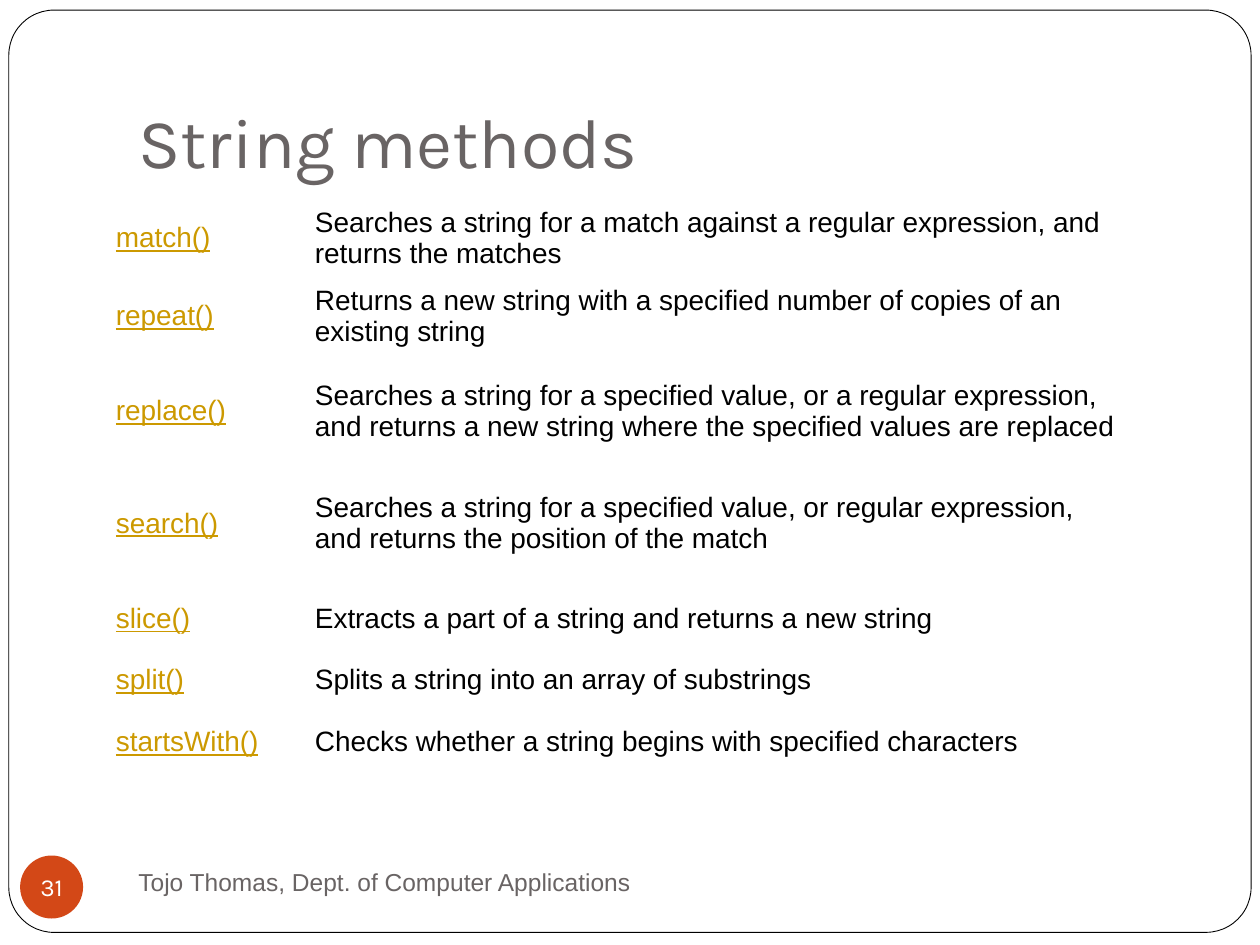
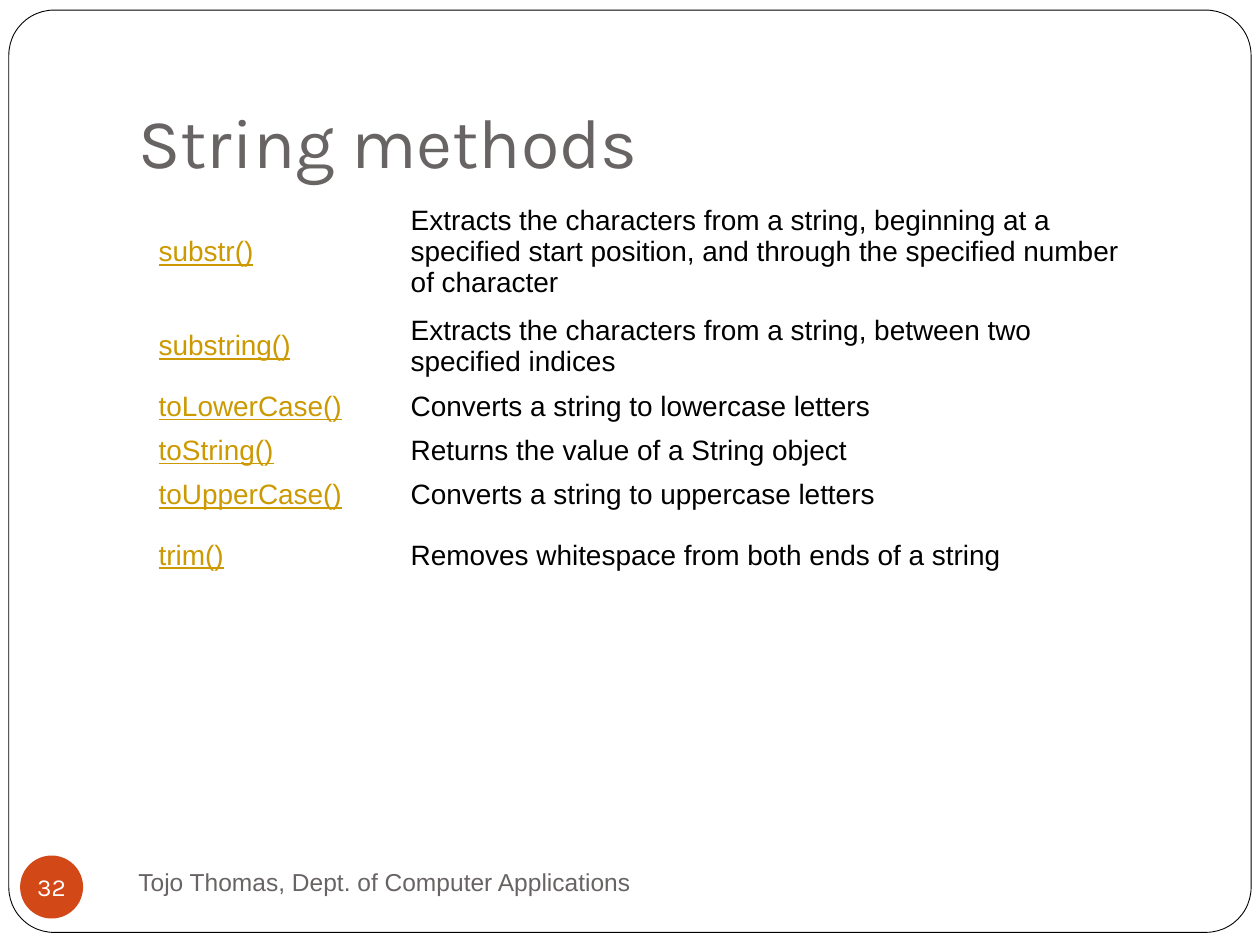
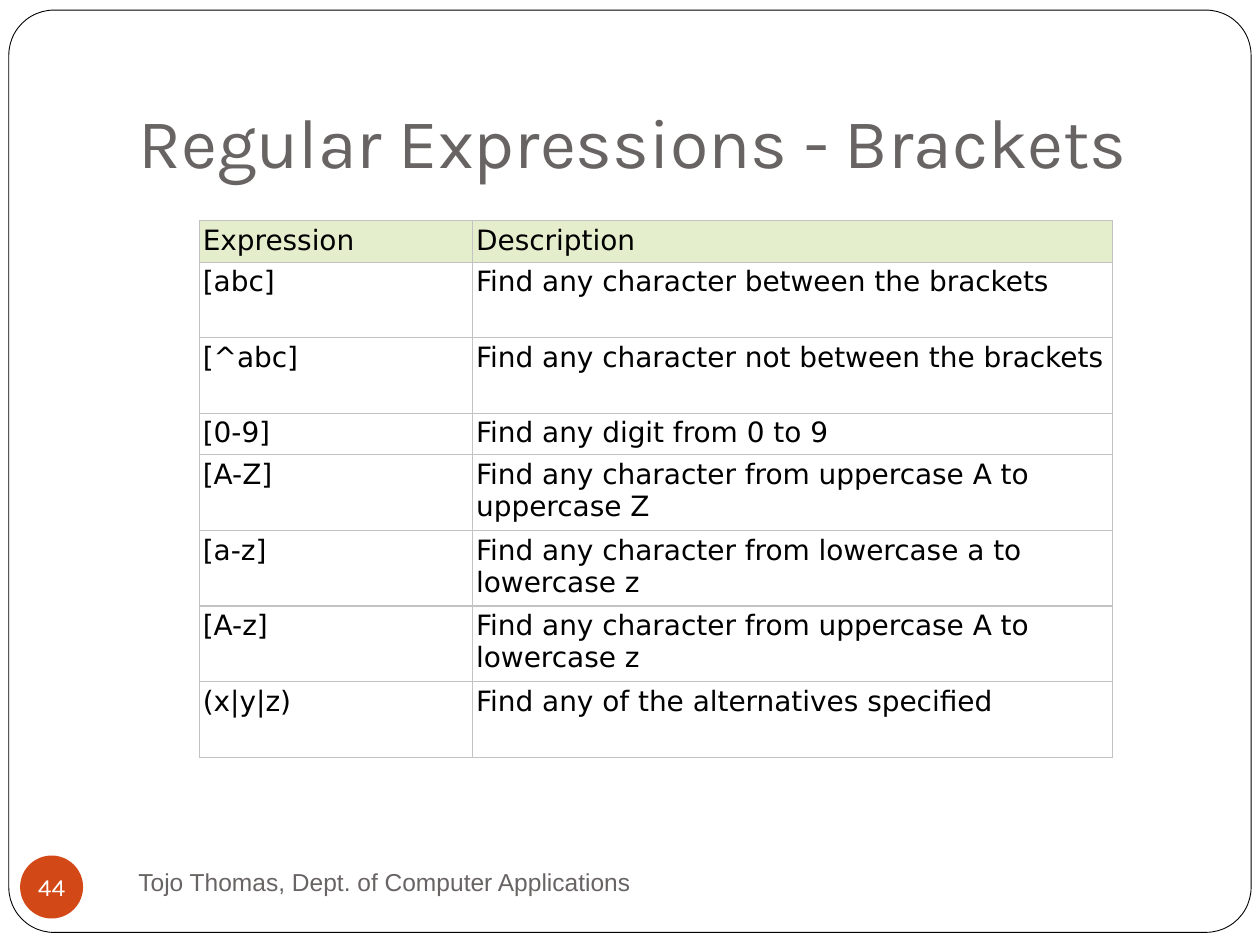
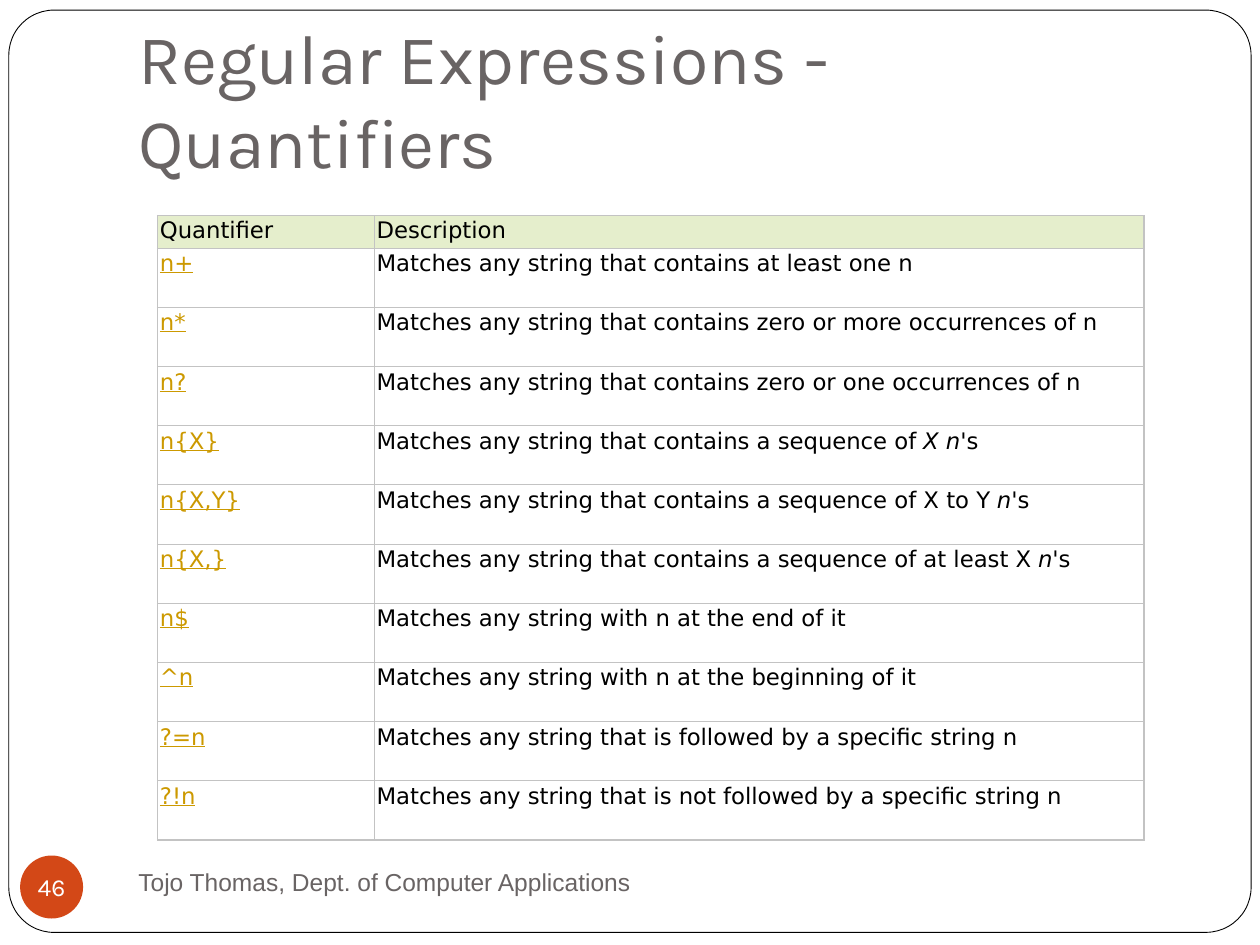
from collections import namedtuple

from lxml import etree
from pptx import Presentation
from pptx import util as u
from pptx.dml.color import RGBColor
from pptx.enum import shapes, text
from pptx.oxml import ns

Inches, Pt = u.Inches, u.Pt
Box = namedtuple("Box", "left top width height")
# A table look: size and font of text, cell margins (side, top), anchor,
# whether cells are ruled and filled, and whether the first column is link-like.
Look = namedtuple("Look", "size font margins anchor ruled linked")

WHITE, BLACK, GREY = "FFFFFF", "000000", "696464"
ORANGE, GOLD = "D34817", "CC9900"
HEADER_GREEN, RULE_GREY = "E5EECC", "C3C3C3"
HEADING_FONT, BODY_FONT, TABLE_FONT = "Karla", "Arial", "DejaVu Sans"

FRAME_BOX = Box(0.07, 0.08, 9.86, 7.32)
TITLE_BOX = Box(1, 0.3, 8.5, 1.25)
FOOTER_BOX = Box(1, 6.75, 4.33, 0.5)
BADGE_BOX = Box(0.16, 6.79, 0.5, 0.5)
FOOTER = "Tojo Thomas, Dept. of Computer Applications"

MIDDLE, TOP = text.MSO_ANCHOR.MIDDLE, text.MSO_ANCHOR.TOP
METHODS = Look(16, BODY_FONT, (0.09, 0.04), MIDDLE, False, True)
BRACKETS = Look(16, TABLE_FONT, (0.03, 0.03), TOP, True, False)
QUANTIFIERS = Look(13, TABLE_FONT, (0.02, 0.02), TOP, True, True)


def color(value):
    """Turn a hex string into a colour."""
    return RGBColor.from_string(value)


def inches(box):
    """Turn a box into four lengths."""
    return [Inches(value) for value in box]


def add_run(paragraph, words, size, font, ink, underline=False, italic=False):
    """Append one formatted run."""
    run = paragraph.add_run()
    run.text = words
    run.font.size, run.font.name = Pt(size), font
    run.font.color.rgb = color(ink)
    run.font.underline, run.font.italic = underline, italic


def add_frame(slide, box):
    """Draw the rounded outline around the slide."""
    shape = slide.shapes.add_shape(
        shapes.MSO_SHAPE.ROUNDED_RECTANGLE, *inches(box))
    shape.adjustments[0] = 0.049
    shape.shadow.inherit = False
    shape.fill.solid()
    shape.fill.fore_color.rgb = color(WHITE)
    shape.line.color.rgb = color(BLACK)
    shape.line.width = Pt(0.5)


def add_text(slide, box, words, size, font, anchor, bottom=0.05):
    """Place a wrapped line of grey text."""
    frame = slide.shapes.add_textbox(*inches(box)).text_frame
    frame.word_wrap = True
    frame.vertical_anchor = anchor
    frame.margin_bottom = Inches(bottom)
    add_run(frame.paragraphs[0], words, size, font, GREY)


def add_badge(slide, box, number):
    """Draw the round slide number."""
    shape = slide.shapes.add_shape(shapes.MSO_SHAPE.OVAL, *inches(box))
    shape.shadow.inherit = False
    shape.fill.solid()
    shape.fill.fore_color.rgb = color(ORANGE)
    shape.line.fill.background()
    frame = shape.text_frame
    frame.word_wrap = False
    frame.vertical_anchor = MIDDLE
    frame.margin_left = frame.margin_right = 0
    frame.margin_top = frame.margin_bottom = 0
    paragraph = frame.paragraphs[0]
    paragraph.alignment = text.PP_ALIGN.CENTER
    add_run(paragraph, str(number), 14, HEADING_FONT, WHITE)


def rule_cell(cell):
    """Give a cell a thin grey line on each side."""
    properties = cell._tc.get_or_add_tcPr()
    for side in ("a:lnL", "a:lnR", "a:lnT", "a:lnB"):
        line = etree.SubElement(properties, ns.qn(side), w=str(Pt(0.75)))
        fill = etree.SubElement(line, ns.qn("a:solidFill"))
        etree.SubElement(fill, ns.qn("a:srgbClr"), val=RULE_GREY)


def fill_cell(cell, runs, look, is_header, is_link):
    """Format one cell and write its runs, given as (words, italic)."""
    side, top = (Inches(margin) for margin in look.margins)
    cell.margin_left = cell.margin_right = side
    cell.margin_top = cell.margin_bottom = top
    cell.vertical_anchor = look.anchor
    if look.ruled:
        rule_cell(cell)
        cell.fill.solid()
        cell.fill.fore_color.rgb = color(HEADER_GREEN if is_header else WHITE)
    else:
        cell.fill.background()
    for words, italic in runs:
        add_run(cell.text_frame.paragraphs[0], words, look.size, look.font,
                GOLD if is_link else BLACK, is_link, italic)


def add_reference_table(slide, corner, widths, heights, rows, look):
    """Place a two-column table whose top left is at the corner."""
    box = Box(*corner, sum(widths), sum(heights))
    table = slide.shapes.add_table(
        len(rows), len(widths), *inches(box)).table
    table.first_row = table.horz_banding = False
    for column, width in zip(table.columns, widths):
        column.width = Inches(width)
    for row, height in zip(table.rows, heights):
        row.height = Inches(height)
    for i, entries in enumerate(rows):
        is_header = look.ruled and i == 0
        for j, entry in enumerate(entries):
            runs = [(entry, False)] if isinstance(entry, str) else entry
            is_link = look.linked and j == 0 and not is_header
            fill_cell(table.cell(i, j), runs, look, is_header, is_link)


def add_reference_slide(presentation, number, title, *table):
    """Add a slide with the shared frame, title and footer, and one table."""
    slide = presentation.slides.add_slide(presentation.slide_layouts[6])
    add_frame(slide, FRAME_BOX)
    add_text(slide, TITLE_BOX, title, 40, HEADING_FONT,
             text.MSO_ANCHOR.BOTTOM, bottom=0.1)
    add_reference_table(slide, *table)
    add_text(slide, FOOTER_BOX, FOOTER, 14, BODY_FONT, MIDDLE)
    add_badge(slide, BADGE_BOX, number)


def sequence_of(start, italic):
    """Build the runs of a description that ends in an italic count."""
    return [(f"Matches any string that contains a sequence of {start}\u00a0"
             .replace(" \u00a0", "\u00a0"), False),
            (italic, True), ("'s", False)]


MATCH_TO_STARTS = [
    ("match()", "Searches a string for a match against a regular expression, "
                "and returns the matches"),
    ("repeat()", "Returns a new string with a specified number of copies of "
                 "an existing string"),
    ("replace()", "Searches a string for a specified value, or a regular "
                  "expression, and returns a new string where the specified "
                  "values are replaced"),
    ("search()", "Searches a string for a specified value, or regular "
                 "expression, and returns the position of the match"),
    ("slice()", "Extracts a part of a string and returns a new string"),
    ("split()", "Splits a string into an array of substrings"),
    ("startsWith()", "Checks whether a string begins with specified "
                     "characters"),
]
SUBSTR_TO_TRIM = [
    ("substr()", "Extracts the characters from a string, beginning at a "
                 "specified start position, and through the specified number "
                 "of character"),
    ("substring()", "Extracts the characters from a string, between two "
                    "specified indices"),
    ("toLowerCase()", "Converts a string to lowercase letters"),
    ("toString()", "Returns the value of a String object"),
    ("toUpperCase()", "Converts a string to uppercase letters"),
    ("trim()", "Removes whitespace from both ends of a string"),
]
BRACKET_ROWS = [
    ("Expression", "Description"),
    ("[abc]", "Find any character between the brackets"),
    ("[^abc]", "Find any character not between the brackets"),
    ("[0-9]", "Find any digit from 0 to 9"),
    ("[A-Z]", "Find any character from uppercase A to uppercase Z"),
    ("[a-z]", "Find any character from lowercase a to lowercase z"),
    ("[A-z]", "Find any character from uppercase A to lowercase z"),
    ("(x|y|z)", "Find any of the alternatives specified"),
]
QUANTIFIER_ROWS = [
    ("Quantifier", "Description"),
    ("n+", "Matches any string that contains at least one n"),
    ("n*", "Matches any string that contains zero or more occurrences of n"),
    ("n?", "Matches any string that contains zero or one occurrences of n"),
    ("n{X}", sequence_of("", "X\u00a0n")),
    ("n{X,Y}", sequence_of("X to Y", "n")),
    ("n{X,}", sequence_of("at least X", "n")),
    ("n$", "Matches any string with n at the end of it"),
    ("^n", "Matches any string with n at the beginning of it"),
    ("?=n", "Matches any string that is followed by a specific string n"),
    ("?!n", "Matches any string that is not followed by a specific string n"),
]


def main():
    """Build and save the presentation."""
    presentation = Presentation()
    presentation.slide_width = Inches(10)
    presentation.slide_height = Inches(7.5)
    add_reference_slide(
        presentation, 31, "String methods", (0.83, 1.58), (1.58, 6.63),
        (0.62, 0.62, 0.89, 0.89, 0.62, 0.36, 0.62), MATCH_TO_STARTS, METHODS)
    add_reference_slide(
        presentation, 32, "String methods", (1.17, 1.56), (2, 5.81),
        (0.88, 0.61, 0.35, 0.35, 0.35, 0.61), SUBSTR_TO_TRIM, METHODS)
    add_reference_slide(
        presentation, 44, "Regular Expressions - Brackets", (1.58, 1.75),
        (2.17, 5.08), (0.33, 0.6, 0.6, 0.33) + (0.6,) * 4,
        BRACKET_ROWS, BRACKETS)
    add_reference_slide(
        presentation, 46, "Regular Expressions - Quantifiers", (1.25, 1.71),
        (1.72, 6.11), (0.26,) + (0.47,) * 10, QUANTIFIER_ROWS, QUANTIFIERS)
    presentation.save("out.pptx")


main()
